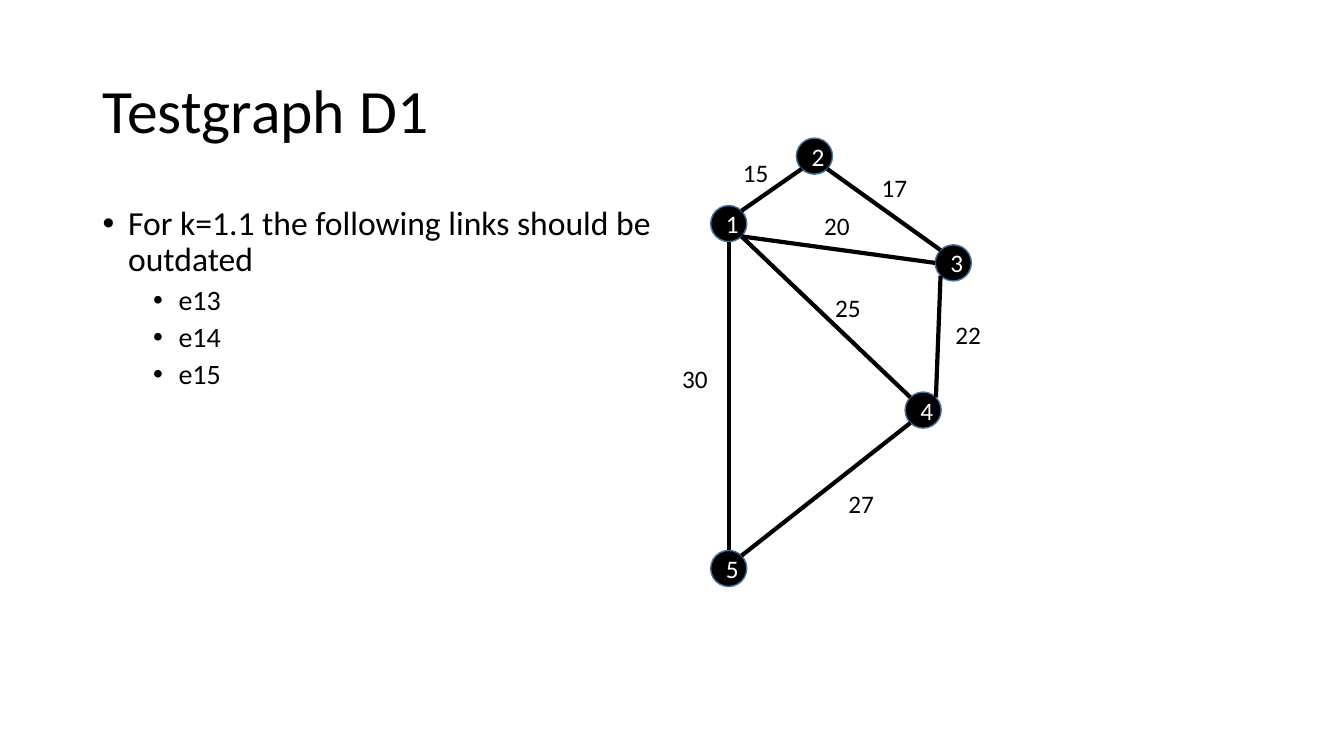
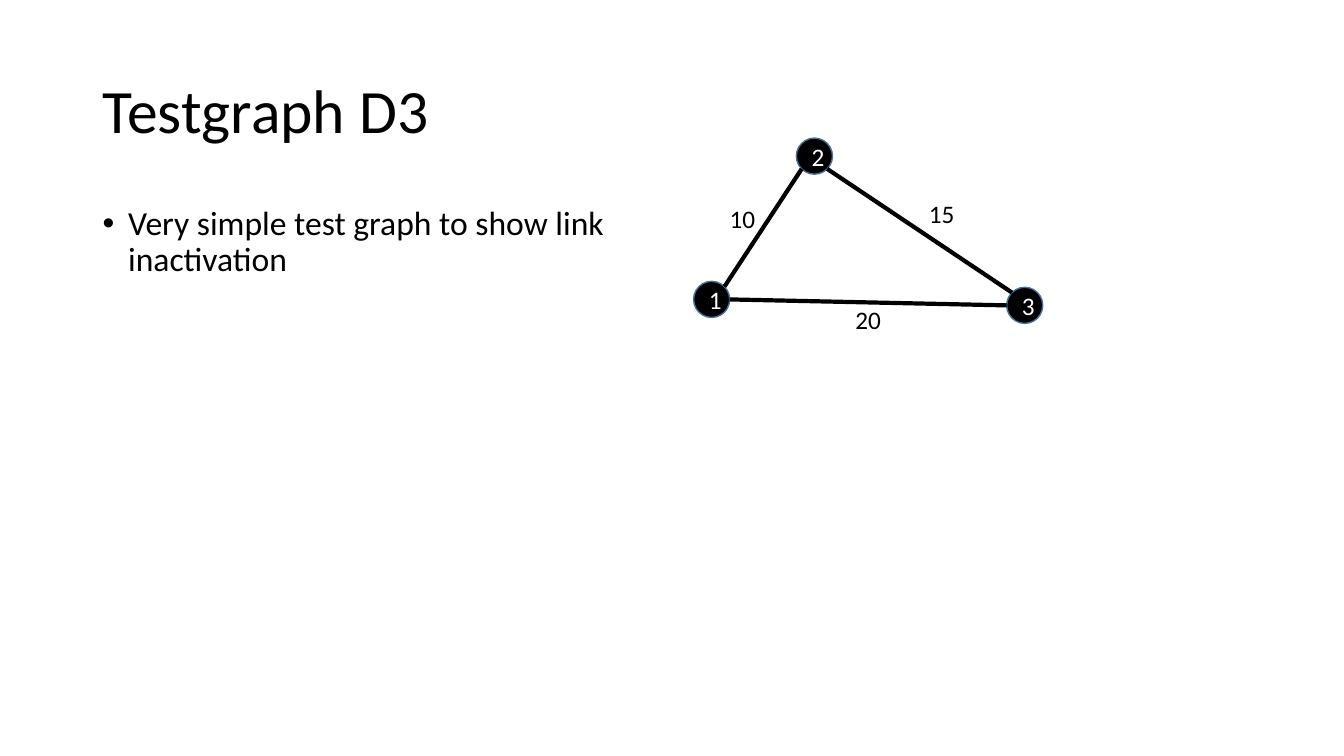
from dataclasses import dataclass
from math import cos, pi, sin
from typing import NamedTuple

from lxml.etree import SubElement
from pptx import Presentation
from pptx.dml.color import RGBColor
from pptx.enum.shapes import MSO_CONNECTOR, MSO_SHAPE
from pptx.enum.text import MSO_ANCHOR, MSO_AUTO_SIZE, PP_ALIGN
from pptx.oxml.ns import qn
from pptx.util import Cm, Pt

FONT = "Calibri"
BLACK, WHITE, OUTLINE = "000000", "FFFFFF", "43739E"
DIAMETER = 0.91
TOP, TOP_LEFT, LEFT, BOTTOM_LEFT, BOTTOM, BOTTOM_RIGHT, RIGHT, TOP_RIGHT = range(8)

TITLE_BOX = (2.34, 1.02, 29.21, 3.68)
BODY_BOX = (2.34, 5.08, 15.7, 12.09)
LABEL_SIZE = (1.17, 1.02)

TITLE_FONT = {"name": FONT, "size": Pt(44)}
SMALL_FONT = {"name": FONT, "size": Pt(18)}
TITLE_PARA = {"line_spacing": 0.9}
LEVELS = [
    ({"level": 0, "line_spacing": 0.9, "space_before": Pt(10)},
     {"name": FONT, "size": Pt(24)}, 0.64),
    ({"level": 1, "line_spacing": 0.9, "space_before": Pt(5)},
     {"name": FONT, "size": Pt(20)}, 1.91),
]


class Node(NamedTuple):
    name: str
    x: float
    y: float

    def site(self, index: int) -> tuple:
        r, angle = DIAMETER / 2, index * pi / 4
        return Cm(self.x + r - r * sin(angle)), Cm(self.y + r - r * cos(angle))


class Edge(NamedTuple):
    start: str
    start_site: int
    end: str
    end_site: int
    weight: str
    label_x: float
    label_y: float


@dataclass
class Graph:
    title: str
    bullets: list
    nodes: list
    edges: list


GRAPHS = [
    Graph(
        "Testgraph D1",
        [(0, "For k=1.1 the following links should be outdated"),
         (1, "e13"), (1, "e14"), (1, "e15")],
        [Node("1", 17.91, 5.18), Node("2", 20.07, 3.48), Node("3", 23.57, 6.17),
         Node("4", 22.81, 9.88), Node("5", 17.91, 13.87)],
        [Edge("1", TOP_RIGHT, "2", BOTTOM_LEFT, "15", 18.47, 3.84),
         Edge("3", TOP_LEFT, "2", BOTTOM_RIGHT, "17", 21.97, 4.22),
         Edge("3", LEFT, "1", BOTTOM_RIGHT, "20", 20.52, 5.18),
         Edge("4", TOP_LEFT, "1", BOTTOM_RIGHT, "25", 20.8, 7.24),
         Edge("4", TOP_RIGHT, "3", BOTTOM_LEFT, "22", 23.83, 7.92),
         Edge("5", TOP_RIGHT, "4", BOTTOM_LEFT, "27", 21.13, 12.19),
         Edge("5", TOP, "1", BOTTOM, "30", 16.94, 9.02)],
    ),
    Graph(
        "Testgraph D3",
        [(0, "Very simple test graph to show link inactivation")],
        [Node("1", 17.48, 7.09), Node("2", 20.07, 3.48), Node("3", 25.37, 7.24)],
        [Edge("1", TOP_RIGHT, "2", BOTTOM_LEFT, "10", 18.14, 5),
         Edge("3", TOP_LEFT, "2", BOTTOM_RIGHT, "15", 23.16, 4.88),
         Edge("3", LEFT, "1", RIGHT, "20", 21.31, 7.54)],
    ),
]


def rgb(value: str) -> RGBColor:
    return RGBColor.from_string(value)


def apply(target, values: dict) -> None:
    for key, value in values.items():
        setattr(target, key, value)


def write(p, text: str, font: dict, color: str = BLACK) -> None:
    r = p.add_run()
    r.text = text
    apply(r.font, font)
    r.font.color.rgb = rgb(color)


def add_box(s, box: tuple, frame: dict):
    tf = s.shapes.add_textbox(*map(Cm, box)).text_frame
    apply(tf, {"word_wrap": True, **frame})
    return tf


def add_title(s, text: str) -> None:
    p = add_box(s, TITLE_BOX, {"vertical_anchor": MSO_ANCHOR.MIDDLE}).paragraphs[0]
    apply(p, TITLE_PARA)
    write(p, text, TITLE_FONT)


def add_bullets(s, bullets: list) -> None:
    tf = add_box(s, BODY_BOX, {})
    for i, (level, text) in enumerate(bullets):
        p = tf.add_paragraph() if i else tf.paragraphs[0]
        para, font, margin = LEVELS[level]
        apply(p, para)
        pPr = p._p.get_or_add_pPr()
        pPr.set("marL", str(Cm(margin)))
        pPr.set("indent", str(-Cm(0.64)))
        SubElement(pPr, qn("a:buFont"), typeface="Arial")
        SubElement(pPr, qn("a:buChar"), char="•")
        write(p, text, font)


def add_node(s, node: Node):
    sp = s.shapes.add_shape(
        MSO_SHAPE.OVAL, *map(Cm, (node.x, node.y, DIAMETER, DIAMETER)))
    sp.shadow.inherit = False
    sp.fill.solid()
    sp.fill.fore_color.rgb = rgb(BLACK)
    sp.line.color.rgb = rgb(OUTLINE)
    sp.line.width = Pt(1)
    p = sp.text_frame.paragraphs[0]
    p.alignment = PP_ALIGN.CENTER
    write(p, node.name, SMALL_FONT, WHITE)
    return sp


def add_edge(s, edge: Edge, nodes: dict, ovals: dict) -> None:
    line = s.shapes.add_connector(
        MSO_CONNECTOR.STRAIGHT,
        *nodes[edge.start].site(edge.start_site),
        *nodes[edge.end].site(edge.end_site))
    line.line.color.rgb = rgb(BLACK)
    line.line.width = Pt(3)
    SubElement(line.element.spPr, qn("a:effectLst"))
    joints = line.element.find(".//" + qn("p:cNvCxnSpPr"))
    for tag, name, site in (("a:stCxn", edge.start, edge.start_site),
                            ("a:endCxn", edge.end, edge.end_site)):
        SubElement(joints, qn(tag), id=str(ovals[name].shape_id), idx=str(site))


def add_weight(s, edge: Edge) -> None:
    tf = add_box(s, (edge.label_x, edge.label_y, *LABEL_SIZE),
                 {"word_wrap": False, "auto_size": MSO_AUTO_SIZE.SHAPE_TO_FIT_TEXT})
    write(tf.paragraphs[0], edge.weight, SMALL_FONT)


def add_graph(prs, graph: Graph) -> None:
    s = prs.slides.add_slide(prs.slide_layouts[6])
    add_title(s, graph.title)
    add_bullets(s, graph.bullets)
    nodes = {node.name: node for node in graph.nodes}
    ovals = {node.name: add_node(s, node) for node in graph.nodes}
    for edge in graph.edges:
        add_edge(s, edge, nodes, ovals)
    for edge in graph.edges:
        add_weight(s, edge)


def main() -> None:
    prs = Presentation()
    apply(prs, {"slide_width": Cm(33.87), "slide_height": Cm(19.05)})
    for graph in GRAPHS:
        add_graph(prs, graph)
    prs.save("out.pptx")


if __name__ == "__main__":
    main()
